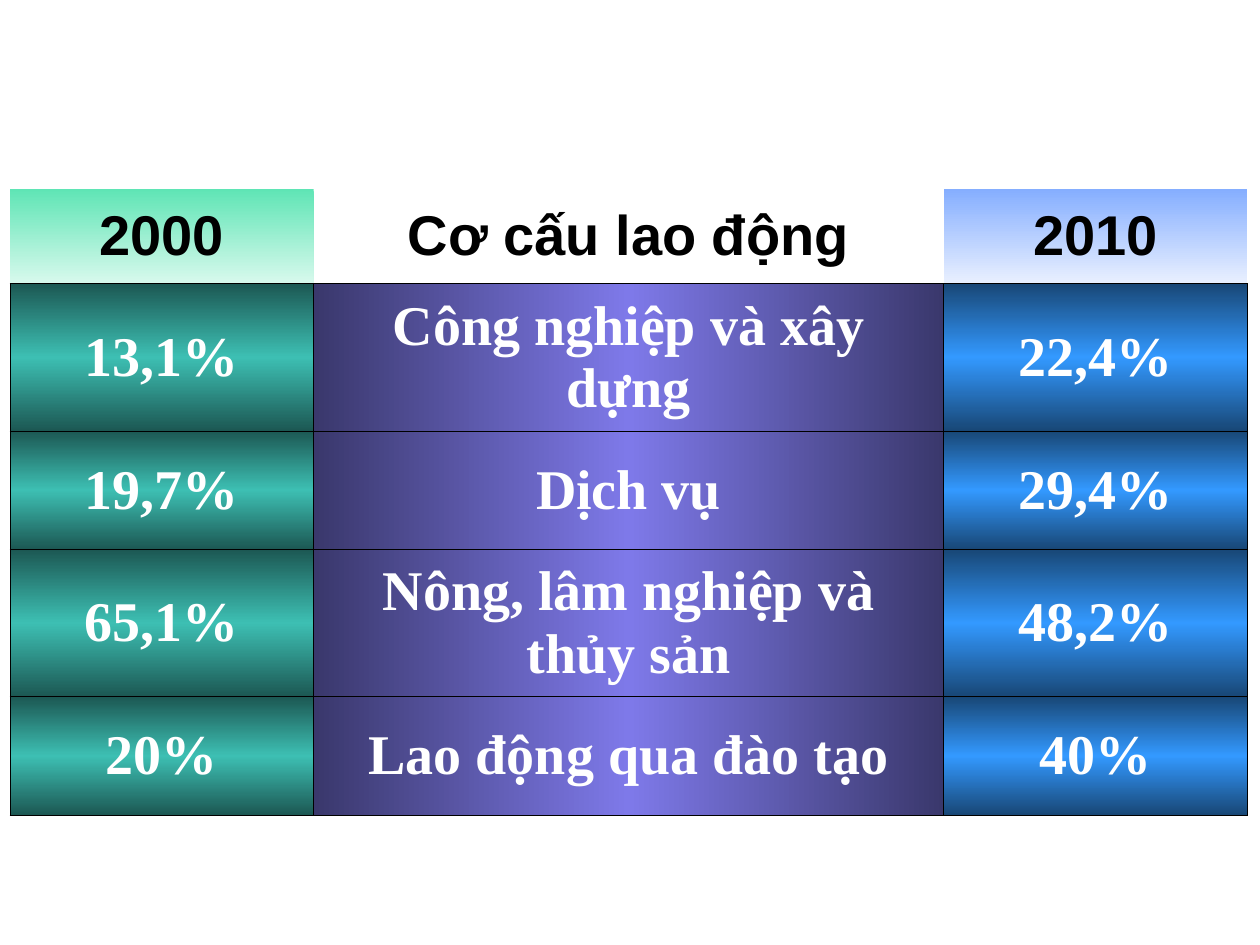
from lxml import etree
from pptx import Presentation
from pptx.dml.color import RGBColor
from pptx.enum.text import MSO_ANCHOR, PP_ALIGN
from pptx.oxml.ns import qn
from pptx.util import Inches, Pt

MIDDLE = MSO_ANCHOR.MIDDLE
CENTER = PP_ALIGN.CENTER

BLACK = RGBColor(0x00, 0x00, 0x00)
WHITE = RGBColor(0xFF, 0xFF, 0xFF)
MINT = RGBColor(0x5F, 0xE5, 0xB5)
PALE_MINT = RGBColor(0xD8, 0xF9, 0xED)
SKY = RGBColor(0x85, 0xAE, 0xFF)
PALE_SKY = RGBColor(0xE9, 0xF0, 0xFF)
DARK_TEAL = RGBColor(0x1C, 0x58, 0x53)
TEAL = RGBColor(0x3D, 0xBF, 0xB3)
DARK_VIOLET = RGBColor(0x3A, 0x38, 0x6C)
VIOLET = RGBColor(0x7E, 0x79, 0xE9)
DARK_BLUE = RGBColor(0x18, 0x47, 0x76)
BLUE = RGBColor(0x33, 0x99, 0xFF)

LABOUR_ROWS = [
    ("2000", "Cơ cấu lao động", "2010"),
    ("13,1%", "Công nghiệp và xây dựng", "22,4%"),
    ("19,7%", "Dịch vụ", "29,4%"),
    ("65,1%", "Nông, lâm nghiệp và thủy sản", "48,2%"),
    ("20%", "Lao động qua đào tạo", "40%"),
]
COLUMN_WIDTHS = [2.41, 5, 2.41]
ROW_HEIGHTS = [0.75, 1.17, 0.94, 1.17, 0.94]
HEADER_GRADIENTS = [((MINT, PALE_MINT), 90), None, ((SKY, PALE_SKY), 90)]
BODY_GRADIENTS = [
    ((DARK_TEAL, TEAL, DARK_TEAL), 90),
    ((DARK_VIOLET, VIOLET, DARK_VIOLET), 0),
    ((DARK_BLUE, BLUE, DARK_BLUE), 90),
]
HEADER_FONT = {"name": "Arial", "size": Pt(32), "bold": True}
BODY_FONT = {**HEADER_FONT, "name": "Times New Roman"}


def add_border(cell_properties, side, visible):
    line = etree.SubElement(cell_properties, qn(f"a:ln{side}"), w=str(Pt(0.45)))
    if visible:
        solid = etree.SubElement(line, qn("a:solidFill"))
        etree.SubElement(solid, qn("a:srgbClr"), val=str(BLACK))
    else:
        etree.SubElement(line, qn("a:noFill"))


def add_gradient(cell_properties, colors, angle):
    gradient = etree.SubElement(cell_properties, qn("a:gradFill"), rotWithShape="1")
    stops = etree.SubElement(gradient, qn("a:gsLst"))
    for index, color in enumerate(colors):
        position = 100000 * index // (len(colors) - 1)
        stop = etree.SubElement(stops, qn("a:gs"), pos=str(position))
        etree.SubElement(stop, qn("a:srgbClr"), val=str(color))
    etree.SubElement(gradient, qn("a:lin"), ang=str(angle * 60000), scaled="0")


prs = Presentation()
prs.slide_width = Inches(10)
prs.slide_height = Inches(7.5)
slide = prs.slides.add_slide(prs.slide_layouts[6])

labour_table = slide.shapes.add_table(
    len(ROW_HEIGHTS), len(COLUMN_WIDTHS), Inches(0.08), Inches(1.5),
    Inches(sum(COLUMN_WIDTHS)), Inches(sum(ROW_HEIGHTS)),
).table
labour_table.first_row = False
labour_table.horz_banding = False
for column, width in zip(labour_table.columns, COLUMN_WIDTHS):
    column.width = Inches(width)
for row, height in zip(labour_table.rows, ROW_HEIGHTS):
    row.height = Inches(height)

for row_index, labels in enumerate(LABOUR_ROWS):
    is_header = row_index == 0
    gradients = HEADER_GRADIENTS if is_header else BODY_GRADIENTS
    for column_index, (label, gradient) in enumerate(zip(labels, gradients)):
        cell = labour_table.cell(row_index, column_index)
        cell.text = label
        cell.vertical_anchor = MIDDLE
        paragraph = cell.text_frame.paragraphs[0]
        paragraph.alignment = CENTER
        font = paragraph.runs[0].font
        for attribute, value in (HEADER_FONT if is_header else BODY_FONT).items():
            setattr(font, attribute, value)
        font.color.rgb = BLACK if is_header else WHITE

        cell_properties = cell._tc.get_or_add_tcPr()
        for side in "LRTB":
            add_border(cell_properties, side, not is_header or side == "B")
        if gradient:
            add_gradient(cell_properties, *gradient)
        else:
            cell.fill.background()

prs.save("out.pptx")
